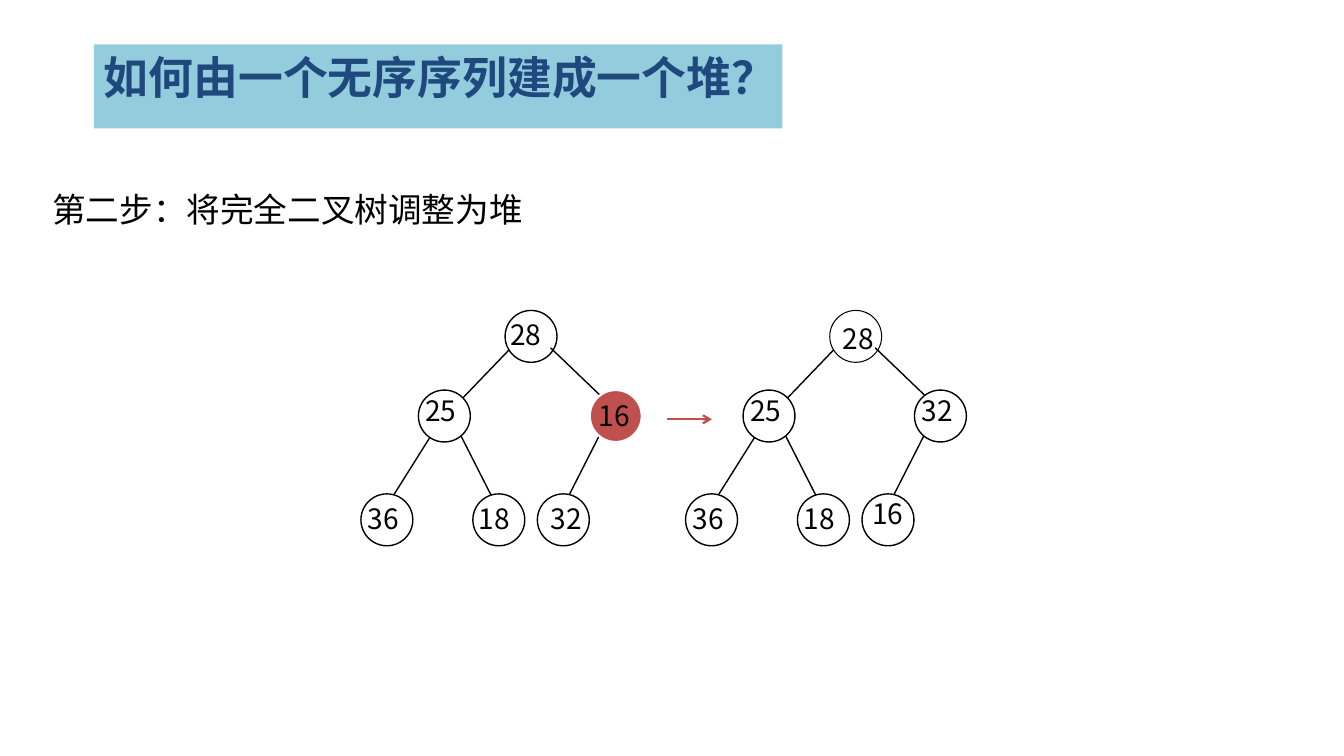
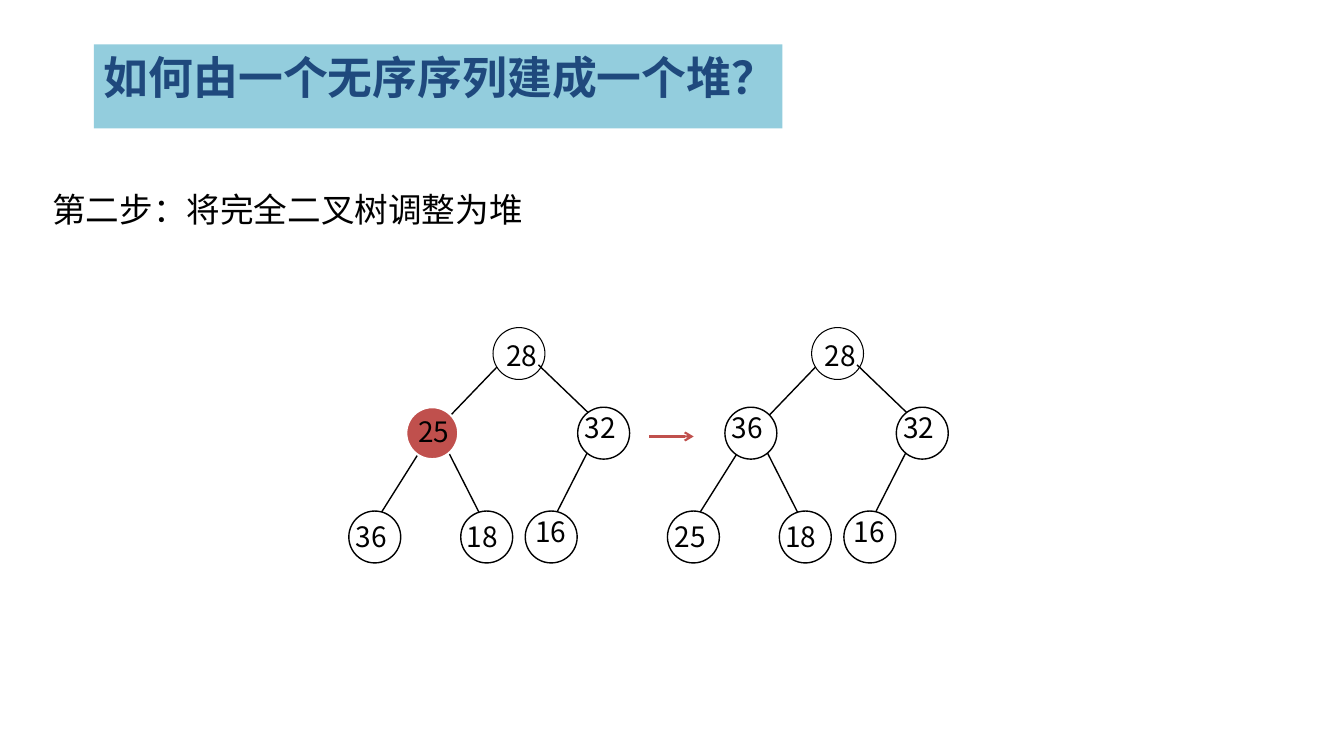
from dataclasses import dataclass, field

from lxml import etree
from pptx import Presentation
from pptx.dml.color import RGBColor
from pptx.enum.shapes import MSO_CONNECTOR, MSO_SHAPE
from pptx.enum.text import MSO_ANCHOR, MSO_AUTO_SIZE, PP_ALIGN
from pptx.oxml.ns import qn
from pptx.util import Inches, Pt

STRAIGHT = MSO_CONNECTOR.STRAIGHT
OVAL = MSO_SHAPE.OVAL
TOP = MSO_ANCHOR.TOP
LEFT = PP_ALIGN.LEFT
GROW = MSO_AUTO_SIZE.SHAPE_TO_FIT_TEXT

BLACK, WHITE, RED = "000000", "FFFFFF", "C0504D"
BAND, NAVY = "93CDDD", "1F497D"
HEADING_FONT, LABEL_FONT = "Courier New", "Noto Sans CJK SC"

TITLE = "如何由一个无序序列建成一个堆？"
STEP = "第二步：将完全二叉树调整为堆"
TITLE_BOX = (9.3, 4.4, 68.3, 6.4)
STEP_BOX = (4.2, 18.3, 70.4, 5)

NODE_SIZE = 5.15
NODES = [(14.3, 0), (5.7, 7.9), (22.7, 7.9), (0, 18.2), (11.1, 18.2), (17.5, 18.2)]
NUDGES = [(1.2, 0.8), (0.6, 0), (0.6, 0), (0.6, 0.5), (0.5, 0.5), (0.9, 0)]
EDGES = [
    (18.8, 3.7, 23.7, 8.4),
    (9.9, 12.4, 13.1, 18.7),
    (6.9, 12.5, 3, 18.7),
    (14.7, 3.9, 9.9, 8.9),
    (23.7, 12.3, 20.7, 18.2),
]
LABEL_SIZE = (4.3, 5.6)
ARROW_LEFT, ARROW_TOP, ARROW_LENGTH = -1.8, 10.8, 4.4


@dataclass
class Tree:
    left: float
    values: list
    red_node: int = -1
    nudges: dict = field(default_factory=dict)
    root_line: float = 0.75


STEPS = [
    (30.8, [
        Tree(35.8, [28, 25, 16, 36, 18, 32], 2,
             {0: (0.4, 0.4), 2: (0.8, 0.5), 5: (1.2, 0.5)}, 1),
        Tree(68, [28, 25, 32, 36, 18, 16]),
    ]),
    (32.5, [
        Tree(34.6, [28, 25, 32, 36, 18, 16], 1, {1: (1.1, 0.4)}),
        Tree(66.2, [28, 36, 32, 25, 18, 16]),
    ]),
]


def color(value):
    return RGBColor.from_string(value)


def grid(*counts):
    return [Inches(count / 10) for count in counts]


def write(shape, text, size, font_name, text_color, bold=False):
    frame = shape.text_frame
    frame.text = text
    frame.word_wrap = True
    frame.vertical_anchor = TOP
    paragraph = frame.paragraphs[0]
    paragraph.alignment = LEFT
    font = paragraph.runs[0].font
    font.name, font.size, font.bold = font_name, Pt(size), bold
    font.color.rgb = color(text_color)
    east_asian = etree.SubElement(paragraph.runs[0].font._element, qn("a:ea"))
    east_asian.set("typeface", font_name)


def add_line(shapes, ends, line_color, width):
    connector = shapes.add_connector(STRAIGHT, *grid(*ends))
    connector.line.color.rgb = color(line_color)
    connector.line.width = Pt(width)
    etree.SubElement(connector._element.spPr, qn("a:effectLst"))
    return connector


def add_heading(slide):
    title = slide.shapes.title
    title.left, title.top, title.width, title.height = grid(*TITLE_BOX)
    title.fill.solid()
    title.fill.fore_color.rgb = color(BAND)
    write(title, TITLE, 32, HEADING_FONT, NAVY, True)
    step = slide.shapes.add_textbox(*grid(*STEP_BOX))
    write(step, STEP, 24, HEADING_FONT, BLACK)
    for shape in (title, step):
        shape.text_frame.auto_size = GROW


def add_node(shapes, left, top, value, nudge, is_red, line_width):
    circle = shapes.add_shape(OVAL, *grid(left, top, NODE_SIZE, NODE_SIZE))
    circle.shadow.inherit = False
    circle.fill.solid()
    circle.fill.fore_color.rgb = color(RED if is_red else WHITE)
    circle.line.color.rgb = color(WHITE if is_red else BLACK)
    circle.line.width = Pt(1.5 if is_red else line_width)
    label = shapes.add_textbox(*grid(left + nudge[0], top + nudge[1], *LABEL_SIZE))
    write(label, str(value), 20, LABEL_FONT, BLACK)
    frame = label.text_frame
    (frame.margin_left, frame.margin_top,
     frame.margin_right, frame.margin_bottom) = grid(0.1, 0.3, 0, 0.1)


def add_tree(slide, tree, top):
    shapes = slide.shapes.add_group_shape().shapes
    for index, (x, y) in enumerate(NODES):
        nudge = tree.nudges.get(index, NUDGES[index])
        line_width = 1 if index else tree.root_line
        add_node(shapes, tree.left + x, top + y, tree.values[index], nudge,
                 index == tree.red_node, line_width)
        if index == 0:
            for x1, y1, x2, y2 in EDGES:
                ends = (tree.left + x1, top + y1, tree.left + x2, top + y2)
                add_line(shapes, ends, BLACK, 1)


def add_arrow(slide, tree_left, tree_top):
    left, top = tree_left + ARROW_LEFT, tree_top + ARROW_TOP
    arrow = add_line(slide.shapes, (left, top, left + ARROW_LENGTH, top), RED, 1.5)
    tail = etree.SubElement(arrow.line._get_or_add_ln(), qn("a:tailEnd"))
    tail.set("type", "arrow")


def add_step_slide(presentation, top, trees):
    slide = presentation.slides.add_slide(presentation.slide_layouts[5])
    add_heading(slide)
    for tree in trees:
        add_tree(slide, tree, top)
    add_arrow(slide, trees[-1].left, top)


def main():
    presentation = Presentation()
    presentation.slide_width, presentation.slide_height = Inches(13.33), Inches(7.5)
    for top, trees in STEPS:
        add_step_slide(presentation, top, trees)
    presentation.save("out.pptx")


if __name__ == "__main__":
    main()
